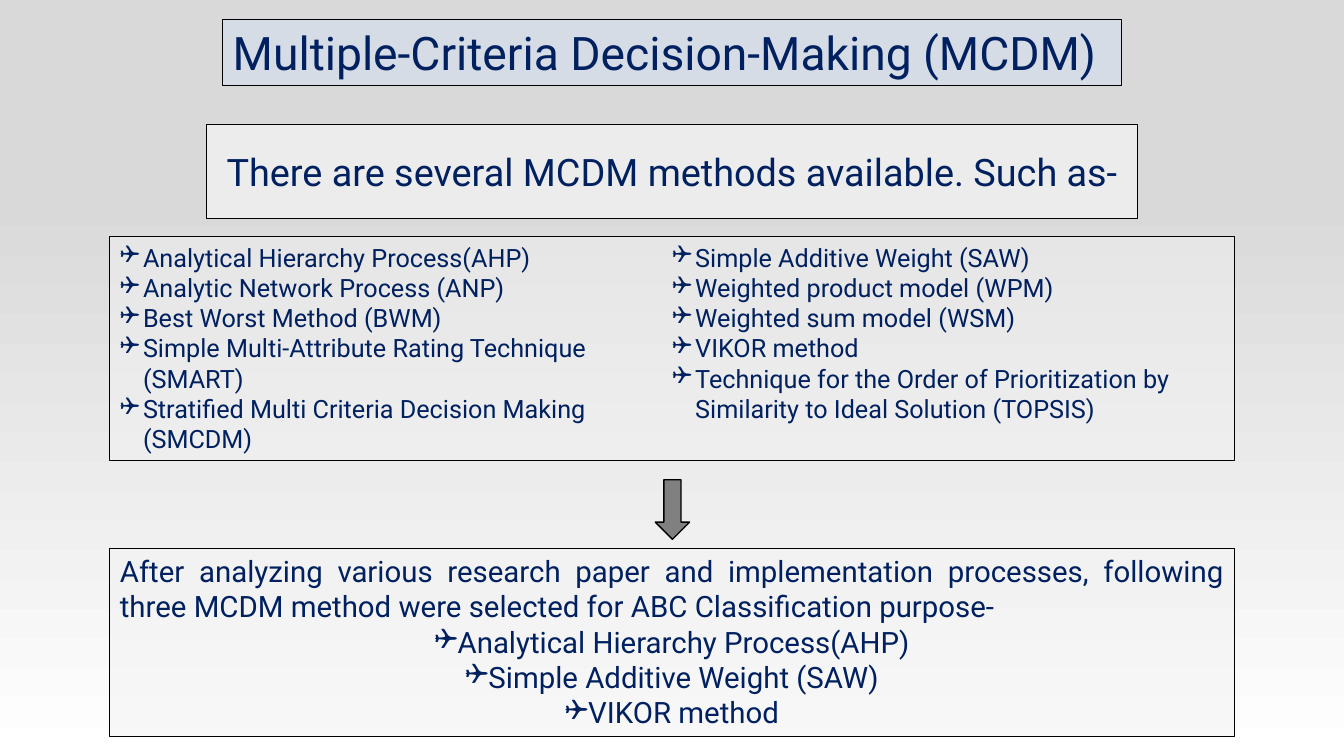
import copy
import pptx
import pptx.dml.color
import pptx.enum.shapes
import pptx.enum.text
import pptx.oxml.ns
import pptx.util
import lxml.etree

Inches = pptx.util.Inches
Align = pptx.enum.text.PP_ALIGN
Anchor = pptx.enum.text.MSO_ANCHOR
Shape = pptx.enum.shapes.MSO_SHAPE
NAVY = "002060"
MARK = "❑"
AHP = "Analytical Hierarchy Process(AHP)"
SAW = "Simple Additive Weight (SAW)"
VIKOR = "VIKOR method"
METHODS = [
    AHP,
    "Analytic Network Process (ANP)",
    "Best Worst Method (BWM)",
    "Simple Multi-Attribute Rating Technique (SMART)",
    "Stratified Multi Criteria Decision Making (SMCDM)",
    SAW,
    "Weighted product model (WPM)",
    "Weighted sum model (WSM)",
    VIKOR,
    "Technique for the Order of Prioritization by Similarity to Ideal Solution (TOPSIS)",
]
CHOSEN = [AHP, SAW, VIKOR]


def color(text):
    return pptx.dml.color.RGBColor.from_string(text)


def add_child(parent, tag, **values):
    child = lxml.etree.SubElement(parent, pptx.oxml.ns.qn(tag))
    for name, value in values.items():
        child.set(name, value)
    return child


def draw_shape(slide, kind, box, fill, line=0.75, clear=False):
    shape = slide.shapes.add_shape(kind, *map(Inches, box))
    shape.shadow.inherit = False
    shape.fill.solid()
    shape.fill.fore_color.rgb = color(fill)
    if clear:
        tint = shape.fill._xPr.find(".//" + pptx.oxml.ns.qn("a:srgbClr"))
        add_child(tint, "a:alpha", val="50000")
    shape.line.color.rgb = color("000000")
    shape.line.width = pptx.util.Pt(line)
    return shape


def draw_panel(slide, box, fill, clear=True, grow=True):
    shape = draw_shape(slide, Shape.RECTANGLE, box, fill, clear=clear)
    frame = shape.text_frame
    frame.word_wrap = True
    frame.vertical_anchor = Anchor.TOP
    if grow:
        frame.auto_size = pptx.enum.text.MSO_AUTO_SIZE.SHAPE_TO_FIT_TEXT
    return frame


def add_line(frame, text, size, align=Align.LEFT, mark=False):
    para = frame.paragraphs[0]
    if para.runs:
        para = frame.add_paragraph()
    para.alignment = align
    if mark:
        props = para._p.get_or_add_pPr()
        indent = Inches(0.23)
        props.set("marL", str(indent))
        props.set("indent", str(-indent))
        add_child(props, "a:buFont", typeface="Wingdings")
        add_child(props, "a:buChar", char=MARK)
    run = para.add_run()
    run.text = text
    run.font.name = "Roboto"
    run.font.size = pptx.util.Pt(size)
    run.font.color.rgb = color(NAVY)


def draw_back(slide):
    fill = slide.background.fill
    fill.gradient()
    fill.gradient_angle = 90
    for stop, tint, place in zip(fill.gradient_stops, ("FFFFFF", "D9D9D9"), (0, 0.74)):
        stop.color.rgb = color(tint)
        stop.position = place
    last = slide.element.xpath(".//p:bg//a:gs")[-1]
    end = copy.deepcopy(last)
    end.set("pos", "100000")
    last.addnext(end)


def draw_title(slide, box):
    frame = draw_panel(slide, box, "D6DCE5", clear=False)
    add_line(frame, "Multiple-Criteria Decision-Making (MCDM)", 33)


def draw_intro(slide, box):
    frame = draw_panel(slide, box, "FFFFFF", grow=False)
    frame.vertical_anchor = Anchor.MIDDLE
    frame.margin_left = frame.margin_right = Inches(0.07)
    frame.margin_top = frame.margin_bottom = Inches(0.04)
    add_line(frame, "There are several MCDM methods available. Such as-", 27, Align.CENTER)


def draw_methods(slide, box):
    frame = draw_panel(slide, box, "F2F2F2")
    frame._txBody.bodyPr.set("numCol", "2")
    for method in METHODS:
        add_line(frame, method, 18, mark=True)


def draw_chosen(slide, box):
    frame = draw_panel(slide, box, "F2F2F2")
    add_line(
        frame,
        "After analyzing various research paper and implementation processes, "
        "following three MCDM method were selected for ABC Classification purpose-",
        21,
        Align.JUSTIFY,
    )
    for method in CHOSEN:
        add_line(frame, method, 21, Align.CENTER, mark=True)


def main():
    deck = pptx.Presentation()
    deck.slide_width = Inches(13.33)
    deck.slide_height = Inches(7.5)
    slide = deck.slides.add_slide(deck.slide_layouts[6])
    draw_back(slide)
    draw_title(slide, (2.21, 0.19, 8.91, 0.66))
    draw_intro(slide, (2.05, 1.24, 9.23, 0.93))
    draw_methods(slide, (1.09, 2.35, 11.15, 2.22))
    draw_shape(slide, Shape.DOWN_ARROW, (6.5, 4.76, 0.34, 0.59), "808080", line=1)
    draw_chosen(slide, (1.09, 5.44, 11.15, 1.87))
    deck.save("out.pptx")


if __name__ == "__main__":
    main()
